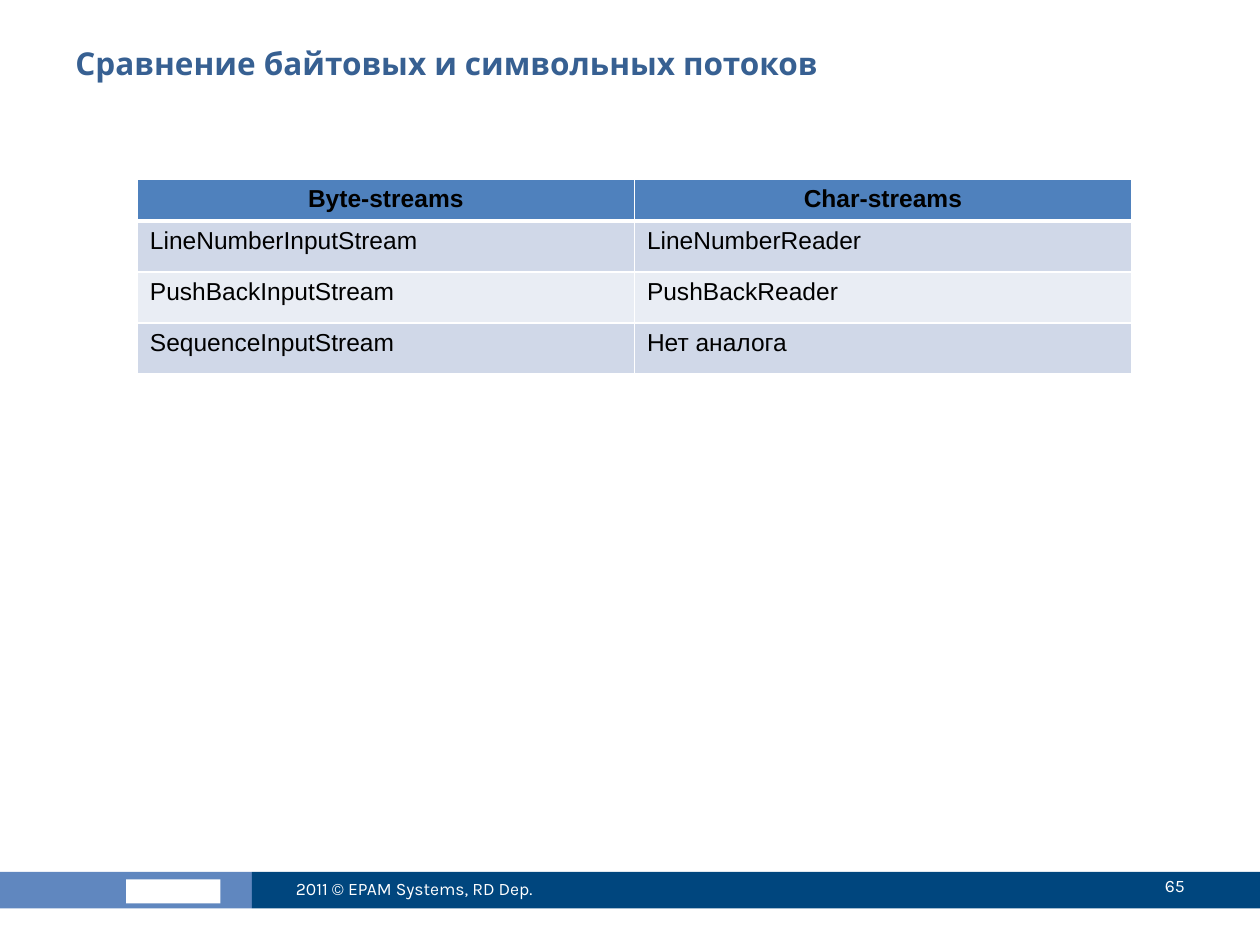
from lxml import etree
from pptx import Presentation
from pptx.dml.color import RGBColor
from pptx.enum.shapes import MSO_SHAPE
from pptx.enum.text import MSO_ANCHOR, PP_ALIGN
from pptx.oxml.ns import qn
from pptx.util import Inches, Pt

RECT = MSO_SHAPE.RECTANGLE
TOP, MID = MSO_ANCHOR.TOP, MSO_ANCHOR.MIDDLE
LEFT, MIDDLE, RIGHT = PP_ALIGN.LEFT, PP_ALIGN.CENTER, PP_ALIGN.RIGHT

# The slide is a grid of 100 columns by 75 rows
COLS, ROWS = 100, 75
UNIT = Inches(10) // COLS

WHITE, BLACK = "FFFFFF", "000000"
NAVY, BLUE, TITLE = "00467E", "6087BF", "376092"
HEAD, BANDS = "4F81BD", ("D0D8E8", "E9EDF4")

STREAMS = (
    ("Byte-streams", "Char-streams"),
    ("LineNumberInputStream", "LineNumberReader"),
    ("PushBackInputStream", "PushBackReader"),
    ("SequenceInputStream", "Нет аналога"),
)


def grid(*cells):
    return [round(n * UNIT) for n in cells]


def color(code):
    return RGBColor.from_string(code)


def style(para, text, size, face, code, bold=False, align=LEFT):
    para.text = text
    para.alignment = align
    font = para.font
    font.size, font.name, font.bold = Pt(size), face, bold
    font.color.rgb = color(code)


def bar(slide, box, code):
    shape = slide.shapes.add_shape(RECT, *grid(*box))
    shape.shadow.inherit = False
    shape.fill.solid()
    shape.fill.fore_color.rgb = color(code)
    shape.line.fill.background()


def label(slide, box, text, size, code, anchor=MID, **looks):
    frame = slide.shapes.add_textbox(*grid(*box)).text_frame
    frame.word_wrap = True
    frame.vertical_anchor = anchor
    style(frame.paragraphs[0], text, size, "Karla", code, **looks)


def edge(cell, side, width):
    props = cell._tc.get_or_add_tcPr()
    line = etree.SubElement(props, qn(f"a:ln{side}"), w=str(Pt(width)))
    fill = etree.SubElement(line, qn("a:solidFill"))
    etree.SubElement(fill, qn("a:srgbClr"), val=WHITE)


def fill_cell(cell, text, row):
    head = row == 0
    # The rule under the header is thicker than the others
    edge(cell, "L", 1)
    edge(cell, "R", 1)
    edge(cell, "T", 3 if row == 1 else 1)
    edge(cell, "B", 3 if head else 1)
    cell.fill.solid()
    cell.fill.fore_color.rgb = color(HEAD if head else BANDS[(row - 1) % 2])
    style(cell.text_frame.paragraphs[0], text, 14, "Arial", BLACK,
          bold=head, align=MIDDLE if head else LEFT)


def table(slide, box, data, top, step):
    frame = slide.shapes.add_table(len(data), len(data[0]), *grid(*box))
    body = frame.table
    for r, texts in enumerate(data):
        body.rows[r].height = grid(step if r else top)[0]
        for c, text in enumerate(texts):
            fill_cell(body.cell(r, c), text, r)


def main():
    deck = Presentation()
    deck.slide_width, deck.slide_height = grid(COLS, ROWS)
    slide = deck.slides.add_slide(deck.slide_layouts[6])

    # Footer band with a plain mark
    bar(slide, (0, 69.2, 20, 2.9), BLUE)
    bar(slide, (10, 69.8, 7.5, 1.9), WHITE)
    bar(slide, (20, 69.2, 80, 2.9), NAVY)

    # Title
    label(slide, (5, 3, 90, 7.8), "Сравнение байтовых и символьных потоков",
          18, TITLE, anchor=TOP, bold=True)

    # Footer text and page number
    label(slide, (22.5, 68.5, 26.7, 4), "2011 © EPAM Systems, RD Dep.",
          10, WHITE)
    label(slide, (84.2, 68.3, 10.8, 4), "65", 10, WHITE, align=RIGHT)

    # Comparison of streams
    table(slide, (10.9, 14.2, 78.9, 15.5), STREAMS, 3.3, 4.05)

    deck.save("out.pptx")


if __name__ == "__main__":
    main()
